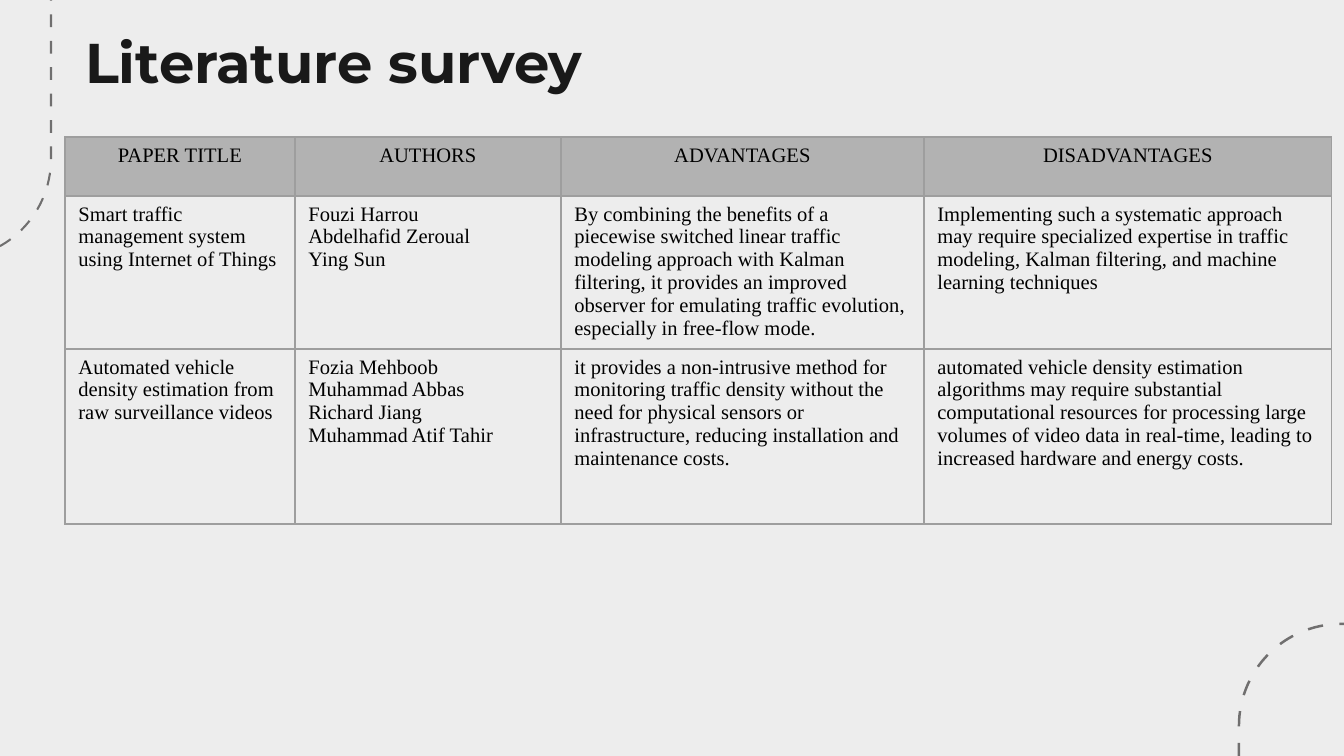
from dataclasses import dataclass
from math import cos, radians, sin

from lxml.etree import SubElement
from pptx import Presentation
from pptx.dml.color import RGBColor as Rgb
from pptx.enum.text import MSO_ANCHOR as Anchor, MSO_AUTO_SIZE as AutoSize, PP_ALIGN as Align
from pptx.oxml.ns import qn
from pptx.util import Emu, Pt

PX = 914400 / 134.4
TITLE_ONLY = 5


@dataclass(frozen=True)
class Theme:
    """Colours, fonts and type sizes of the deck."""
    back: str = "EDEDED"
    dash: str = "706F6F"
    heading: str = "191919"
    ink: str = "000000"
    header: str = "B2B2B2"
    border: str = "9E9E9E"
    heading_font: str = "Montserrat"
    body_font: str = "Times New Roman"
    heading_size: int = 30
    body_size: int = 11
    border_width: float = 0.75


def px(length):
    """Turn pixels into EMU."""
    return Emu(round(length * PX))


def assign(target, values):
    """Set each named attribute of the target."""
    for name, value in values.items():
        setattr(target, name, value)


def arc(centre_x, centre_y, radius, start, end, step=3):
    """List points on an arc, with angles in degrees clockwise on screen."""
    direction = step if end > start else -step
    angles = range(start, end + direction, direction)
    return [(centre_x + radius * cos(radians(angle)),
             centre_y + radius * sin(radians(angle))) for angle in angles]


class SlideBuilder:
    """Draws styled elements on the current slide."""

    def __init__(self, deck, theme):
        """Add a title-only slide with the theme background."""
        self.theme = theme
        self.page = deck.slides.add_slide(deck.slide_layouts[TITLE_ONLY])
        fill = self.page.background.fill
        fill.solid()
        fill.fore_color.rgb = Rgb.from_string(theme.back)

    def style(self, span, font, size, colour, bold=False):
        """Apply a font to a run of text."""
        assign(span.font, {"name": font, "size": Pt(size), "bold": bold})
        span.font.color.rgb = Rgb.from_string(colour)

    def title(self, text, left, top, width, height):
        """Place and format the title placeholder."""
        theme = self.theme
        box = self.page.shapes.title
        assign(box, {"left": px(left), "top": px(top),
                     "width": px(width), "height": px(height)})
        inset = px(13)
        assign(box.text_frame, {
            "margin_left": inset, "margin_right": inset,
            "margin_top": inset, "margin_bottom": inset,
            "vertical_anchor": Anchor.TOP, "auto_size": AutoSize.NONE,
            "word_wrap": True})
        para = box.text_frame.paragraphs[0]
        para.alignment = Align.LEFT
        span = para.add_run()
        span.text = text
        self.style(span, theme.heading_font, theme.heading_size, theme.heading, True)

    def dashed_route(self, points, weight):
        """Draw an open dashed line through the points."""
        corners = [(px(x), px(y)) for x, y in points]
        builder = self.page.shapes.build_freeform(*corners[0])
        builder.add_line_segments(corners[1:], close=False)
        route = builder.convert_to_shape()
        route.shadow.inherit = False
        route.fill.background()
        route.line.width = Pt(weight)
        route.line.color.rgb = Rgb.from_string(self.theme.dash)
        outline = route.line._get_or_add_ln()
        pattern = SubElement(outline, qn("a:custDash"))
        SubElement(pattern, qn("a:ds"), d="620000", sp="660000")

    def cell(self, cell, text, is_header):
        """Fill one table cell with text, shading and borders."""
        theme = self.theme
        cell.text = text
        for para in cell.text_frame.paragraphs:
            para.alignment = Align.CENTER if is_header else Align.LEFT
            for span in para.runs:
                self.style(span, theme.body_font, theme.body_size, theme.ink)
        properties = cell._tc.get_or_add_tcPr()
        for side in ("a:lnL", "a:lnR", "a:lnT", "a:lnB"):
            edge = SubElement(properties, qn(side), w=str(Pt(theme.border_width)))
            paint = SubElement(edge, qn("a:solidFill"))
            SubElement(paint, qn("a:srgbClr"), val=theme.border)
        if is_header:
            cell.fill.solid()
            cell.fill.fore_color.rgb = Rgb.from_string(theme.header)
        else:
            cell.fill.background()

    def table(self, left, top, widths, heights, rows):
        """Draw a bordered table with a shaded header row."""
        frame = self.page.shapes.add_table(
            len(rows), len(widths), px(left), px(top), px(sum(widths)), px(sum(heights)))
        grid = frame.table
        assign(grid, {"first_row": False, "horz_banding": False})
        for column, width in zip(grid.columns, widths):
            column.width = px(width)
        for index, (row, height, texts) in enumerate(zip(grid.rows, heights, rows)):
            row.height = px(height)
            for cell, text in zip(row.cells, texts):
                self.cell(cell, text, index == 0)


PAPERS = [
    ("PAPER TITLE", "AUTHORS", "ADVANTAGES", "DISADVANTAGES"),
    ("Smart traffic management system using Internet of Things",
     "Fouzi Harrou\nAbdelhafid Zeroual\nYing Sun",
     "By combining the benefits of a piecewise switched linear traffic modeling approach "
     "with Kalman filtering, it provides an improved observer for emulating traffic "
     "evolution, especially in free-flow mode.",
     "Implementing such a systematic approach may require specialized expertise in traffic "
     "modeling, Kalman filtering, and machine learning techniques"),
    ("Automated vehicle density estimation from raw surveillance videos",
     "Fozia Mehboob\nMuhammad Abbas\nRichard Jiang\nMuhammad Atif Tahir",
     "it provides a non-intrusive method for monitoring traffic density without the need "
     "for physical sensors or infrastructure, reducing installation and maintenance costs.",
     "automated vehicle density estimation algorithms may require substantial computational "
     "resources for processing large volumes of video data in real-time, leading to "
     "increased hardware and energy costs."),
]


def main():
    """Build the literature survey slide."""
    deck = Presentation()
    assign(deck, {"slide_width": px(1344), "slide_height": px(756)})
    slide = SlideBuilder(deck, Theme())
    slide.dashed_route([(1239, 822)] + arc(1341, 726, 102, 180, 270) + [(1413, 624)], 1.32)
    slide.dashed_route([(51, -12)] + arc(-49, 159, 100, 0, 180) + [(-149, -208)], 1.1)
    slide.title("Literature survey", 72, 14, 1133, 85)
    slide.table(65, 137, (230, 266, 363, 408), (59, 153, 175), PAPERS)
    deck.save("out.pptx")


if __name__ == "__main__":
    main()
